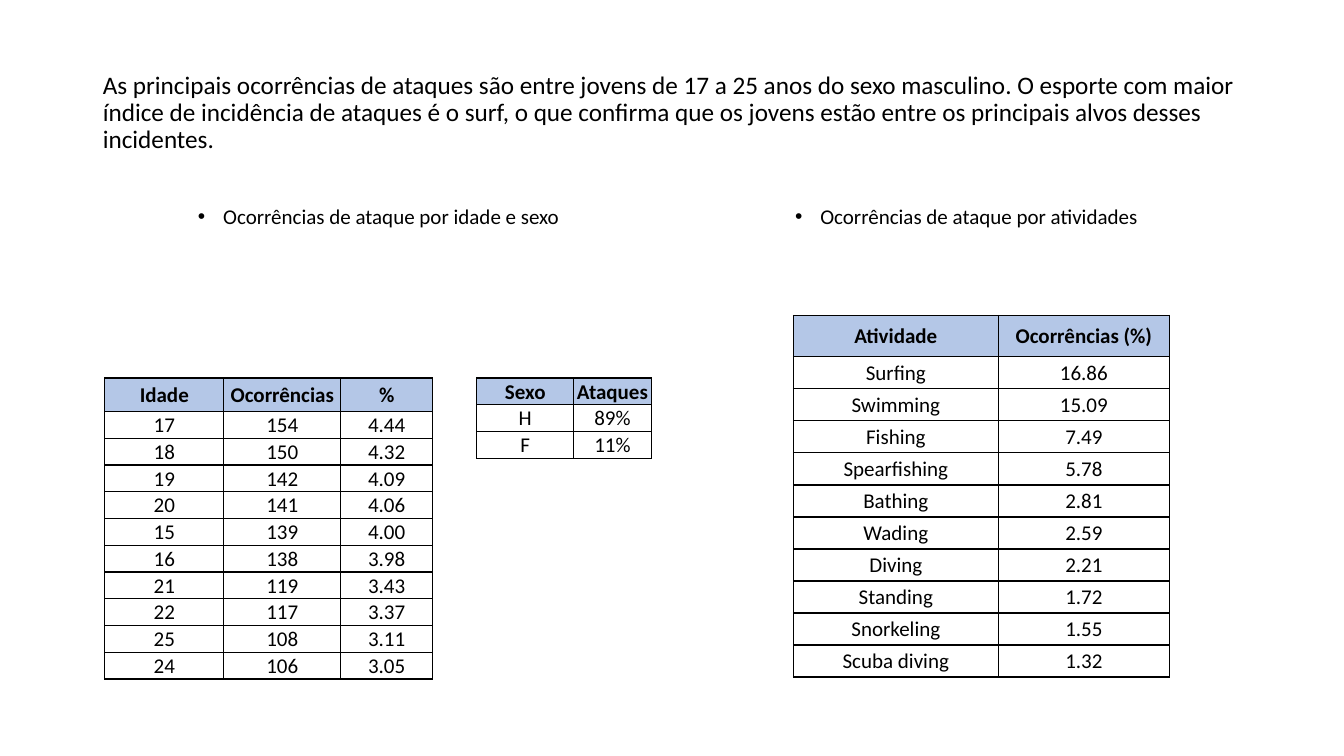
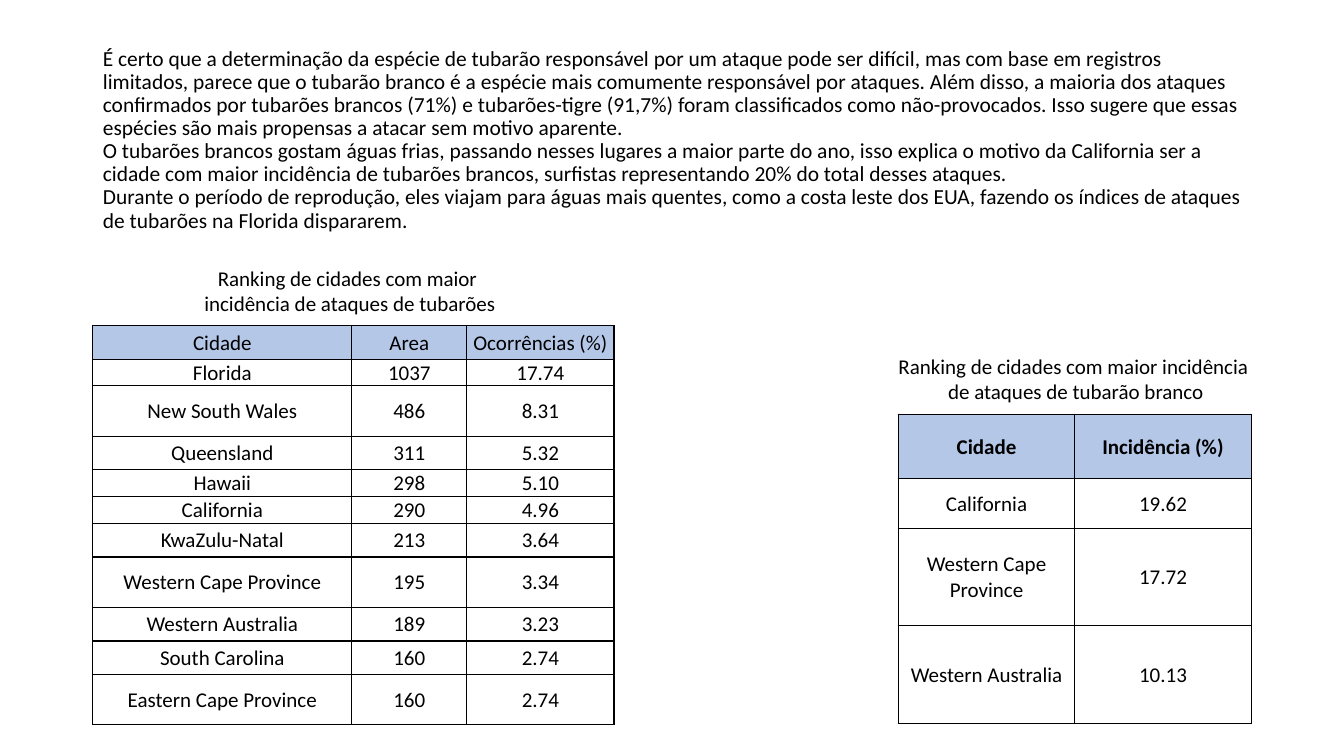
"""Build two slides of shark attack statistics with tables."""
from lxml import etree
from pptx import Presentation
from pptx.dml.color import RGBColor
from pptx.enum import text
from pptx.oxml import ns
from pptx.util import Inches, Pt

BLACK = RGBColor(0x00, 0x00, 0x00)
WHITE = RGBColor(0xFF, 0xFF, 0xFF)
HEADER_BLUE = RGBColor(0xB4, 0xC7, 0xE7)
FONT = "Calibri"
BODY_SIZE = 15
MARGIN = 0.92
CONTENT_WIDTH = 11.5
COLUMN_WIDTH = 5.67
LOW, MEDIUM, HIGH = 0.26, 1 / 3, 0.5
LEFT, CENTER = text.PP_ALIGN.LEFT, text.PP_ALIGN.CENTER
TIGHT = {"line_spacing": 0.9, "space_before": Pt(0)}
LIST_FORMAT = {"alignment": CENTER, "line_spacing": 0.9, "space_before": Pt(10)}
CELL_FORMAT = {
    "margin_left": Inches(0.01),
    "margin_right": Inches(0.01),
    "margin_top": Inches(0.01),
    "margin_bottom": 0,
    "vertical_anchor": text.MSO_ANCHOR.MIDDLE,
}

AGE_ROWS = [
    ("Idade", "Ocorrências", "%"),
    ("17", "154", "4.44"),
    ("18", "150", "4.32"),
    ("19", "142", "4.09"),
    ("20", "141", "4.06"),
    ("15", "139", "4.00"),
    ("16", "138", "3.98"),
    ("21", "119", "3.43"),
    ("22", "117", "3.37"),
    ("25", "108", "3.11"),
    ("24", "106", "3.05"),
]
SEX_ROWS = [("Sexo", "Ataques"), ("H", "89%"), ("F", "11%")]
ACTIVITY_ROWS = [
    ("Atividade", "Ocorrências (%)"),
    ("Surfing", "16.86"),
    ("Swimming", "15.09"),
    ("Fishing", "7.49"),
    ("Spearfishing", "5.78"),
    ("Bathing", "2.81"),
    ("Wading", "2.59"),
    ("Diving", "2.21"),
    ("Standing", "1.72"),
    ("Snorkeling", "1.55"),
    ("Scuba diving", "1.32"),
]
CITY_ROWS = [
    ("Cidade", "Area", "Ocorrências (%)"),
    ("Florida", "1037", "17.74"),
    ("New South Wales", "486", "8.31"),
    ("Queensland", "311", "5.32"),
    ("Hawaii", "298", "5.10"),
    ("California", "290", "4.96"),
    ("KwaZulu-Natal", "213", "3.64"),
    ("Western Cape Province", "195", "3.34"),
    ("Western Australia", "189", "3.23"),
    ("South Carolina", "160", "2.74"),
    ("Eastern Cape Province", "160", "2.74"),
]
WHITE_SHARK_ROWS = [
    ("Cidade", "Incidência (%)"),
    ("California", "19.62"),
    ("Western Cape Province", "17.72"),
    ("Western Australia", "10.13"),
]
PROFILE_TITLE = [
    "As principais ocorrências de ataques são entre jovens de 17 a 25 anos do sexo "
    "masculino. O esporte com maior índice de incidência de ataques é o surf, o que "
    "confirma que os jovens estão entre os principais alvos desses incidentes.",
]
CITY_TITLE = [
    "É certo que a determinação da espécie de tubarão responsável por um ataque pode ser "
    "difícil, mas com base em registros limitados, parece que o tubarão branco é a espécie "
    "mais comumente responsável por ataques. Além disso, a maioria dos ataques confirmados "
    "por tubarões brancos (71%) e tubarões-tigre (91,7%) foram classificados como "
    "não-provocados. Isso sugere que essas espécies são mais propensas a atacar sem motivo "
    "aparente.",
    "O tubarões brancos gostam águas frias, passando nesses lugares a maior parte do ano, "
    "isso explica o motivo da California ser a cidade com maior incidência de tubarões "
    "brancos, surfistas representando 20% do total desses ataques.",
    "Durante o período de reprodução, eles viajam para águas mais quentes, como a costa "
    "leste dos EUA, fazendo os índices de ataques de tubarões na Florida dispararem.",
]


def apply_format(target, values):
    """Set each named attribute on the target."""
    for name, value in values.items():
        setattr(target, name, value)


def place(shape, box):
    """Move a shape to a box of left, top, width and height in inches."""
    names = ("left", "top", "width", "height")
    apply_format(shape, dict(zip(names, map(Inches, box))))


def write(frame, lines, paragraph_format, size=BODY_SIZE, bold=False):
    """Fill a text frame with one formatted paragraph per line."""
    frame.text = "\n".join(lines)
    for paragraph in frame.paragraphs:
        apply_format(paragraph, paragraph_format)
        for run in paragraph.runs:
            apply_format(run.font, {"name": FONT, "size": Pt(size), "bold": bold})
            run.font.color.rgb = BLACK


def add_title(slide, lines, height, size):
    """Write the introductory text in the title placeholder."""
    title = slide.shapes.title
    place(title, (MARGIN, 0.4, CONTENT_WIDTH, height))
    write(title.text_frame, lines, {"alignment": LEFT, **TIGHT}, size)
    apply_format(title.text_frame, {
        "vertical_anchor": text.MSO_ANCHOR.MIDDLE,
        "auto_size": text.MSO_AUTO_SIZE.NONE,
    })


def add_list(placeholder, box, line):
    """Write a centred bullet in a body placeholder."""
    place(placeholder, box)
    write(placeholder.text_frame, [line], LIST_FORMAT)
    placeholder.text_frame.auto_size = text.MSO_AUTO_SIZE.NONE
    for paragraph in placeholder.text_frame.paragraphs:
        properties = paragraph._p.get_or_add_pPr()
        properties.set("marL", str(Inches(0.25)))
        properties.set("indent", str(Inches(-0.25)))


def add_caption(slide, box, lines):
    """Write a centred caption above a table."""
    caption = slide.shapes.add_textbox(*map(Inches, box))
    write(caption.text_frame, lines, {"alignment": CENTER})
    apply_format(caption.text_frame, {
        "word_wrap": False,
        "auto_size": text.MSO_AUTO_SIZE.SHAPE_TO_FIT_TEXT,
    })


def add_borders(cell):
    """Draw a thin black line on each side of a cell."""
    properties = cell._tc.get_or_add_tcPr()
    for index, side in enumerate(("lnL", "lnR", "lnT", "lnB")):
        line = etree.Element(ns.qn("a:" + side), w=str(Pt(1)))
        fill = etree.SubElement(line, ns.qn("a:solidFill"))
        etree.SubElement(fill, ns.qn("a:srgbClr"), val=str(BLACK))
        properties.insert(index, line)


def add_data_table(slide, left, top, rows, widths, heights, bold_header=True):
    """Add a bordered table with a blue header row."""
    box = (left, top, sum(widths), sum(heights))
    frame = slide.shapes.add_table(len(rows), len(widths), *map(Inches, box))
    table = frame.table
    table.horz_banding = False
    for column, width in zip(table.columns, widths):
        column.width = Inches(width)
    for index, (row, height, values) in enumerate(zip(table.rows, heights, rows)):
        row.height = Inches(height)
        header = index == 0
        for cell, value in zip(row.cells, values):
            apply_format(cell, CELL_FORMAT)
            write(cell.text_frame, [value], {"alignment": CENTER},
                  bold=header and bold_header)
            cell.fill.solid()
            cell.fill.fore_color.rgb = HEADER_BLUE if header else WHITE
            add_borders(cell)


def build_profile_slide(presentation):
    """Show attacks by age, sex and activity."""
    slide = presentation.slides.add_slide(presentation.slide_layouts[3])
    add_title(slide, PROFILE_TITLE, 1.45, 18)
    gap = CONTENT_WIDTH - 2 * COLUMN_WIDTH
    headings = ("Ocorrências de ataque por idade e sexo",
                "Ocorrências de ataque por atividades")
    for index, heading in enumerate(headings):
        left = MARGIN + index * (COLUMN_WIDTH + gap)
        add_list(slide.placeholders[index + 1], (left, 2, COLUMN_WIDTH, 4.76), heading)
    activity_header, activity_total = 0.41, 3.59
    activity_height = (activity_total - activity_header) / 10
    add_data_table(slide, 7.87, 3.13, ACTIVITY_ROWS, [2.03, 1.7],
                   [activity_header] + [activity_height] * 10)
    add_data_table(slide, 4.73, 3.75, SEX_ROWS, [0.96, 0.77], [LOW] * 3)
    add_data_table(slide, 1.04, 3.75, AGE_ROWS, [1.18, 1.16, 0.91], [MEDIUM] + [LOW] * 10)


def build_city_slide(presentation):
    """Show the cities with the most attacks."""
    slide = presentation.slides.add_slide(presentation.slide_layouts[5])
    add_title(slide, CITY_TITLE, 1.98, 15.3)
    add_data_table(slide, 8.91, 4.11, WHITE_SHARK_ROWS, [1.75, 1.75],
                   [0.64, 0.49, 0.97, 0.97])
    heights = [MEDIUM, LOW, HIGH, MEDIUM, LOW, LOW, MEDIUM, HIGH, MEDIUM, MEDIUM, HIGH]
    add_data_table(slide, MARGIN, 3.23, CITY_ROWS, [2.57, 1.14, 1.46], heights,
                   bold_header=False)
    add_caption(slide, (8.79, 3.46, 3.76, 0.61),
                ["Ranking de cidades com maior incidência ", "de ataques de tubarão branco"])
    add_caption(slide, (1.87, 2.58, 3.2, 0.61),
                ["Ranking de cidades com maior ", "incidência de ataques de tubarões"])


def main():
    """Build and save the presentation."""
    presentation = Presentation()
    apply_format(presentation, {"slide_width": Inches(13.33), "slide_height": Inches(7.5)})
    build_profile_slide(presentation)
    build_city_slide(presentation)
    presentation.save("out.pptx")


if __name__ == "__main__":
    main()
